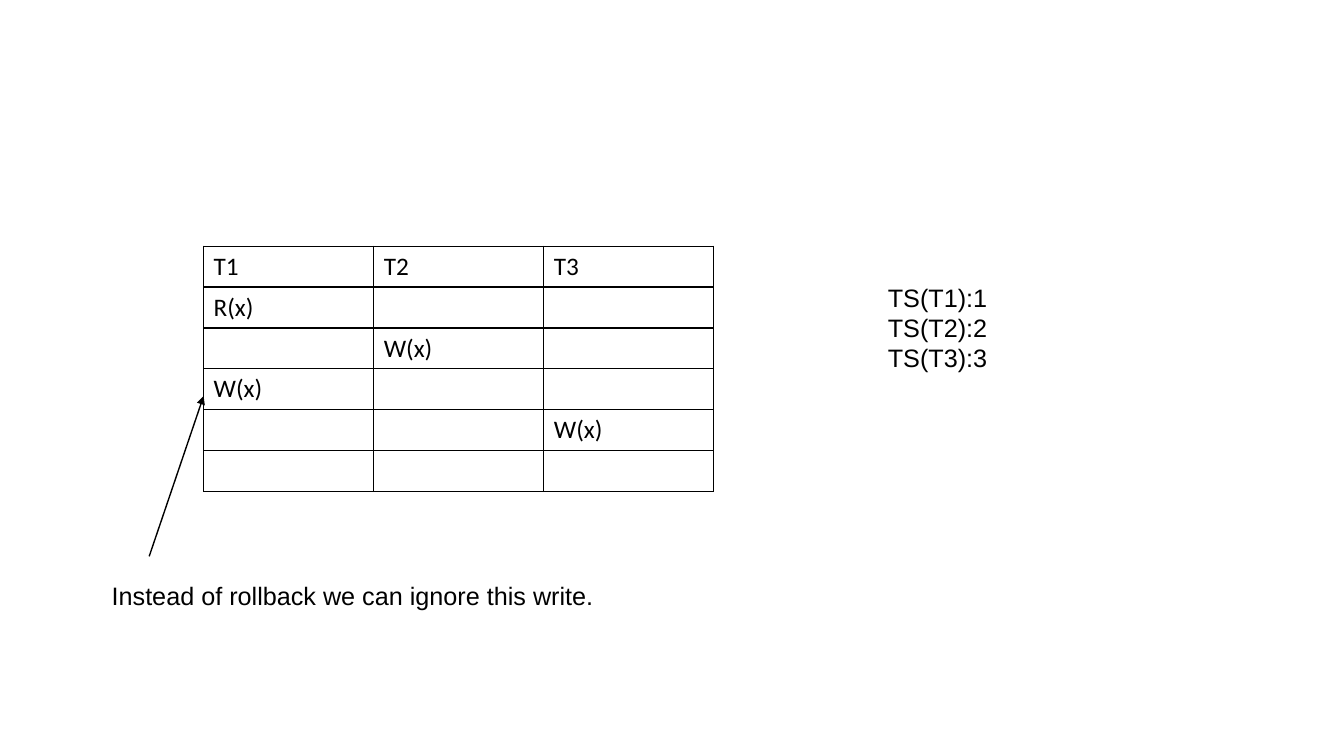
from lxml.etree import SubElement
from pptx import Presentation
from pptx.dml.color import RGBColor
from pptx.enum.shapes import MSO_CONNECTOR
from pptx.oxml.ns import qn
from pptx.util import Pt

BLACK = "000000"
SCHEDULE = [
    ("T1", "T2", "T3"),
    ("R(x)", "", ""),
    ("", "W(x)", ""),
    ("W(x)", "", ""),
    ("", "", "W(x)"),
    ("", "", ""),
]
TIMESTAMPS = ["TS(T1):1", "TS(T2):2", "TS(T3):3"]
REMARK = ["Instead of rollback we can ignore this write."]

TABLE_LEFT, TABLE_TOP = 145.44, 175.9
COLUMN_WIDTH, ROW_HEIGHT = 121.5, 28.8
ARROW_START, ARROW_END = (106.56, 397.44), (TABLE_LEFT, 282.96)


def color(hex_code):
    return RGBColor.from_string(hex_code)


def write(frame, lines, font="Arial", size=18, ink=BLACK):
    frame.word_wrap = True
    for number, line in enumerate(lines):
        paragraph = frame.add_paragraph() if number else frame.paragraphs[0]
        paragraph.text = line
        paragraph.font.name = font
        paragraph.font.size = Pt(size)
        paragraph.font.color.rgb = color(ink)


def add_text(slide, lines, left, top, width, height):
    box = slide.shapes.add_textbox(Pt(left), Pt(top), Pt(width), Pt(height))
    write(box.text_frame, lines)


def add_border(cell, side, width):
    line = SubElement(cell._tc.get_or_add_tcPr(), qn(f"a:ln{side}"), w=str(Pt(width)))
    fill = SubElement(line, qn("a:solidFill"))
    SubElement(fill, qn("a:srgbClr"), val=BLACK)


def add_schedule(slide):
    row_count, column_count = len(SCHEDULE), len(SCHEDULE[0])
    table = slide.shapes.add_table(
        row_count, column_count, Pt(TABLE_LEFT), Pt(TABLE_TOP),
        Pt(column_count * COLUMN_WIDTH), Pt(row_count * ROW_HEIGHT)).table
    table.first_row = table.horz_banding = False
    for row, operations in enumerate(SCHEDULE):
        for column, operation in enumerate(operations):
            cell = table.cell(row, column)
            write(cell.text_frame, [operation], font="Calibri")
            header_rule = {0: "B", 1: "T"}.get(row)
            for side in "LRTB":
                add_border(cell, side, 1.5 if side == header_rule else 1)
            cell.fill.background()


def add_arrow(slide, start, end):
    arrow = slide.shapes.add_connector(
        MSO_CONNECTOR.STRAIGHT, *(Pt(value) for value in start + end))
    arrow.line.color.rgb = color(BLACK)
    arrow.line.width = Pt(1)
    properties = arrow._element.spPr
    SubElement(properties.find(qn("a:ln")), qn("a:tailEnd"), type="triangle")
    SubElement(properties, qn("a:effectLst"))


def main():
    deck = Presentation()
    deck.slide_width, deck.slide_height = Pt(960), Pt(540)
    slide = deck.slides.add_slide(deck.slide_layouts[6])
    add_schedule(slide)
    add_text(slide, TIMESTAMPS, 627.1, 198, 200.9, 72.7)
    add_arrow(slide, ARROW_START, ARROW_END)
    add_text(slide, REMARK, 72.7, 411.1, 386.6, 29.1)
    deck.save("out.pptx")


if __name__ == "__main__":
    main()
